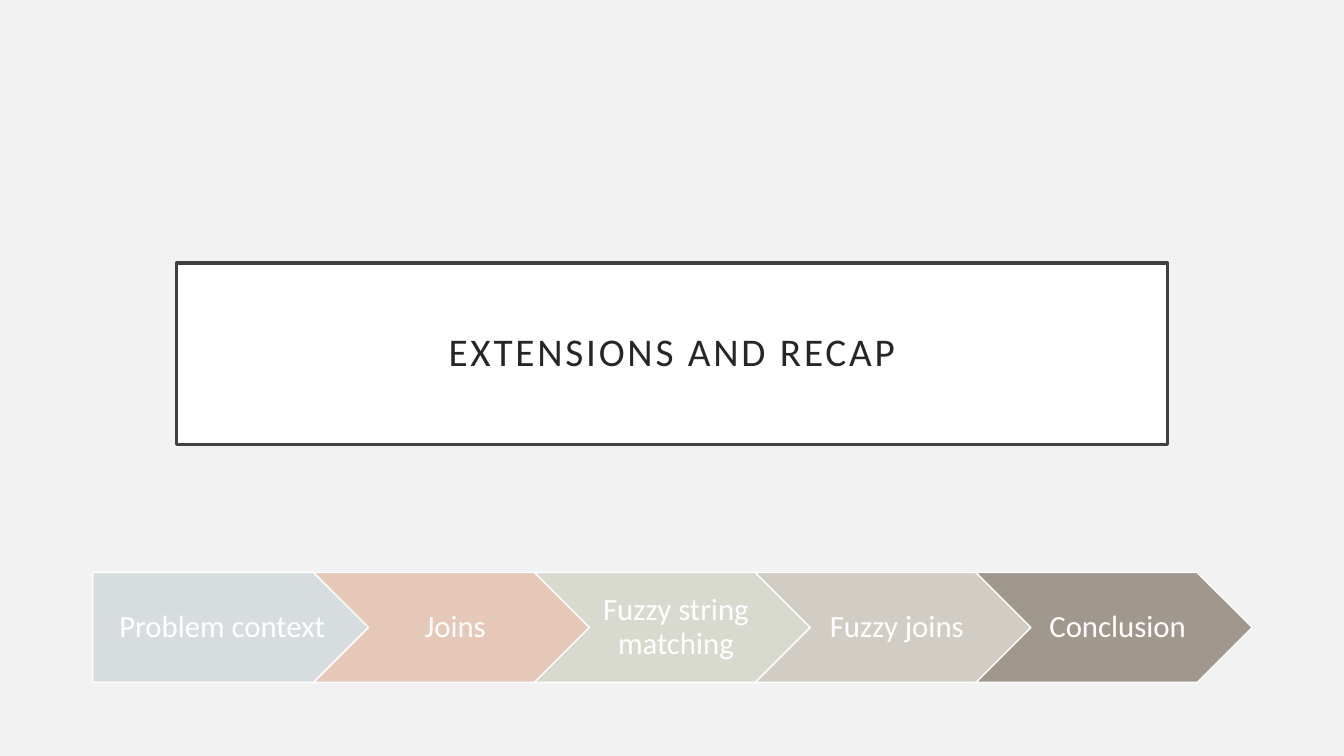
from lxml import etree
from pptx import Presentation
from pptx.dml.color import RGBColor
from pptx.enum.shapes import MSO_SHAPE
from pptx.enum.text import MSO_ANCHOR, PP_ALIGN
from pptx.oxml.ns import qn
from pptx.util import Inches, Pt

RECTANGLE = MSO_SHAPE.RECTANGLE
PENTAGON = MSO_SHAPE.PENTAGON
CHEVRON = MSO_SHAPE.CHEVRON
MIDDLE = MSO_ANCHOR.MIDDLE
CENTER = PP_ALIGN.CENTER

STAGES = [
    ("Problem context", "9BAFB5", 30),
    ("Joins", "C96731", 30),
    ("Fuzzy string matching", "9CA383", 30),
    ("Fuzzy joins", "87795D", 30),
    ("Conclusion", "A0988C", 100),
]
STAGE_LEFT, STAGE_TOP = 0.92, 5.68
STAGE_WIDTH, STAGE_HEIGHT = 2.74, 1.09
STAGE_STEP = 2.19
POINT_DEPTH = STAGE_HEIGHT / 2


def color(value):
    return RGBColor.from_string(value)


class SlideBuilder:
    font = "Calibri"

    def __init__(self, slide, background):
        self.slide = slide
        slide.background.fill.solid()
        slide.background.fill.fore_color.rgb = color(background)

    def shape(self, kind, box, fill, line, line_width, opacity=100):
        shape = self.slide.shapes.add_shape(kind, *map(Inches, box))
        shape.shadow.inherit = False
        shape.fill.solid()
        shape.fill.fore_color.rgb = color(fill)
        shape.line.color.rgb = color(line)
        shape.line.width = Pt(line_width)
        if opacity < 100:
            properties = shape.element.spPr
            tint = properties.find(qn("a:solidFill"))[0]
            etree.SubElement(tint, qn("a:alpha"), val=str(opacity * 1000))
        return shape

    def set_text(self, shape, text, size, text_color, insets, tracking=0):
        left, top, right, bottom = map(Inches, insets)
        frame = shape.text_frame
        paragraph = frame.paragraphs[0]
        run = paragraph.add_run()
        run.text = text
        run.font.color.rgb = color(text_color)
        formats = [
            (frame, {"word_wrap": True, "vertical_anchor": MIDDLE,
                     "margin_left": left, "margin_top": top,
                     "margin_right": right, "margin_bottom": bottom}),
            (paragraph, {"alignment": CENTER, "line_spacing": 0.9}),
            (run.font, {"name": self.font, "size": Pt(size)}),
        ]
        for target, values in formats:
            for name, value in values.items():
                setattr(target, name, value)
        if tracking:
            shape.element.find(".//" + qn("a:rPr")).set("spc", str(tracking * 100))

    def label(self, box, text, size, text_color, insets):
        textbox = self.slide.shapes.add_textbox(*map(Inches, box))
        self.set_text(textbox, text, size, text_color, insets)


def main():
    deck = Presentation()
    deck.slide_width, deck.slide_height = Inches(13.33), Inches(7.5)
    recap = SlideBuilder(deck.slides.add_slide(deck.slide_layouts[6]), "F2F2F2")

    for index, (stage, fill, opacity) in enumerate(STAGES):
        first = index == 0
        left = STAGE_LEFT + index * STAGE_STEP
        recap.shape(PENTAGON if first else CHEVRON,
                    (left, STAGE_TOP, STAGE_WIDTH, STAGE_HEIGHT),
                    fill, "FFFFFF", 1, opacity)
        label_left = left if first else left + POINT_DEPTH
        label_width = STAGE_WIDTH - POINT_DEPTH * (0.5 if first else 2)
        recap.label((label_left, STAGE_TOP, label_width, STAGE_HEIGHT),
                    stage, 22, "FFFFFF",
                    (0.13 if first else 0.1, 0.06, 0.03, 0.06))

    title = recap.shape(RECTANGLE, (1.75, 2.61, 9.83, 1.8), "FFFFFF", "404040", 2.5)
    recap.set_text(title, "EXTENSIONS AND RECAP", 28, "262626", [0.2] * 4, tracking=2)

    deck.save("out.pptx")


if __name__ == "__main__":
    main()
